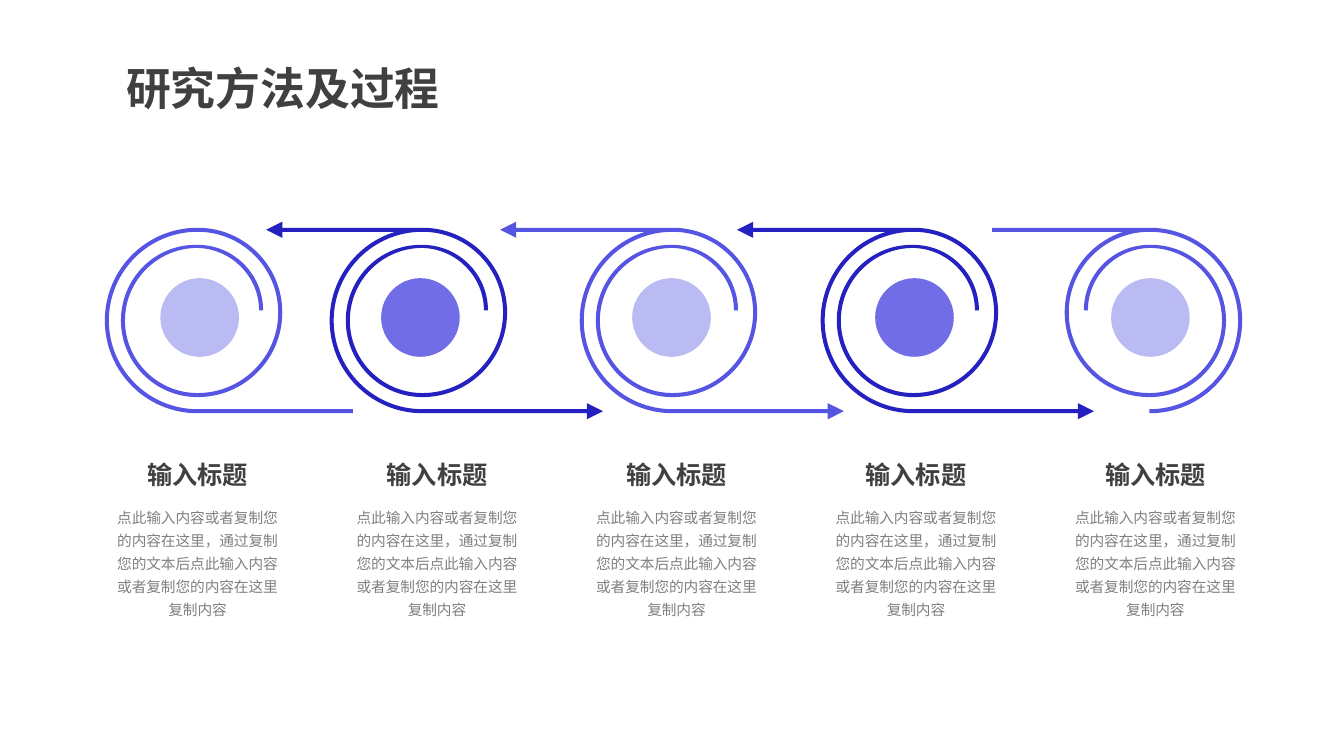
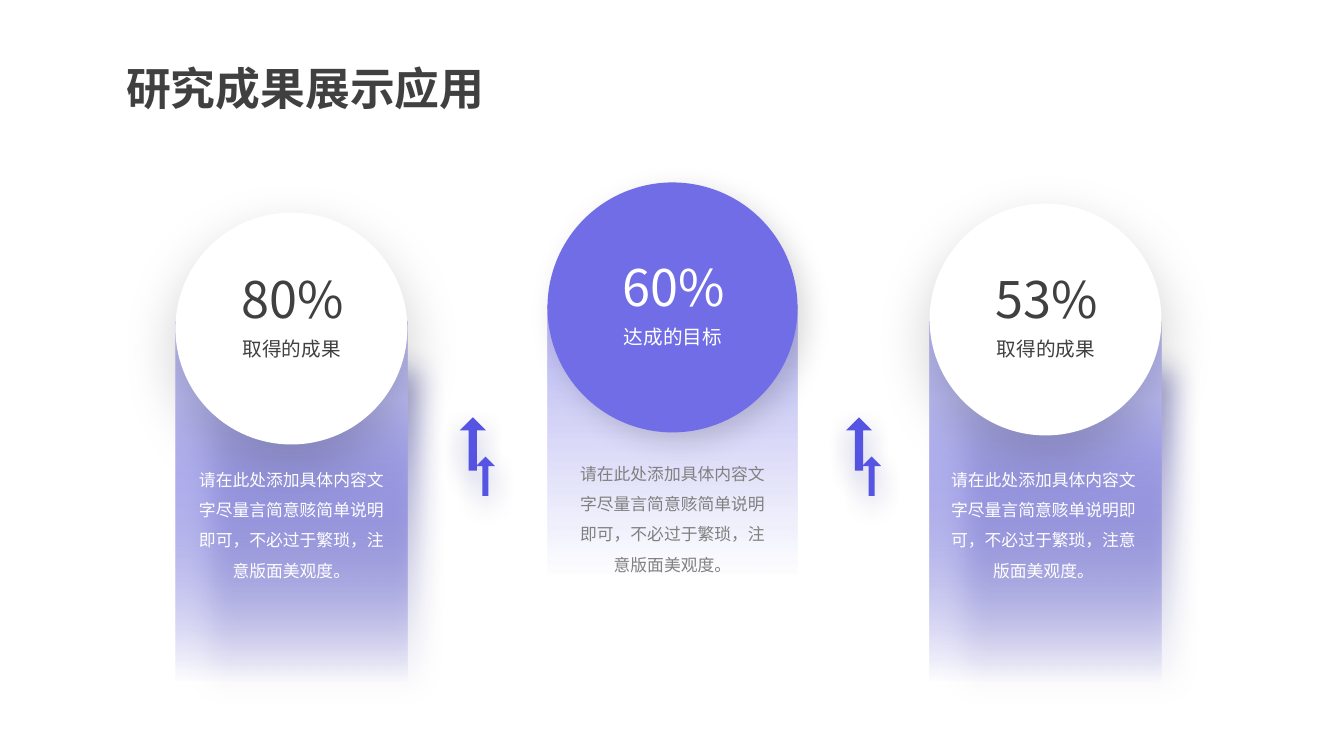
from dataclasses import dataclass
from math import acos, ceil, cos, pi, sin, tan
from typing import Optional

from lxml.etree import SubElement
from pptx import Presentation
from pptx.dml.color import RGBColor
from pptx.enum.shapes import MSO_SHAPE as Preset
from pptx.enum.text import MSO_ANCHOR as Anchor, MSO_AUTO_SIZE as AutoSize, PP_ALIGN as Align
from pptx.oxml.ns import qn
from pptx.util import Inches, Pt

FONT = "Noto Sans CJK SC"
WHITE = RGBColor(0xFF, 0xFF, 0xFF)
BLACK = RGBColor(0x00, 0x00, 0x00)
DARK_GRAY = RGBColor(0x40, 0x40, 0x40)
GRAY = RGBColor(0x80, 0x80, 0x80)
NAVY = RGBColor(0x18, 0x16, 0x85)
DEEP_BLUE = RGBColor(0x25, 0x21, 0xC1)
VIOLET = RGBColor(0x56, 0x54, 0xE2)
LAVENDER = RGBColor(0x70, 0x6D, 0xE6)
PALE = RGBColor(0xBB, 0xBB, 0xF3)

TITLE_ONLY = 5
COIL_TOP, COIL_BOTTOM = 2.28, 4.08
HALF_BAND = 0.02
HEAD_LENGTH, HALF_HEAD = 0.16, 0.08
TURNS = [(3.18, 0.9, 0, pi), (3.1, 0.82, pi, 2 * pi),
         (3.18, 0.74, 2 * pi, 3 * pi), (3.08, 0.63, 3 * pi, 3.5 * pi)]
DOT_SIZE = 0.78
STEP_LEFT, STEP_TOP, STEP_PITCH, STEP_WIDTH = 1.04, 4.51, 2.375, 1.84
STEP_TITLE = "输入标题"
STEP_TEXT = "点此输入内容或者复制您的内容在这里，通过复制您的文本后点此输入内容或者复制您的内容在这里复制内容"
CARD_TEXT = "请在此处添加具体内容文字尽量言简意赅简单说明即可，不必过于繁琐，注意版面美观度。"


@dataclass
class Coil:
    """A spiral band with a dot and up to two straight ends."""
    center: float
    color: RGBColor
    dot_center: float
    dot_color: RGBColor
    top_end: Optional[float] = None
    bottom_end: Optional[float] = None
    top_arrow: bool = True
    bottom_arrow: bool = True
    side: int = -1


@dataclass
class Card:
    """A percentage in a circle above a fading column."""
    left: float
    top: float
    width: float
    height: float
    circle_top: float
    circle_color: RGBColor
    circle_shadow: dict
    stops: list
    column_shadow: Optional[dict]
    value: str
    label: str
    value_top: float
    value_color: RGBColor
    text: str
    text_left: float
    text_top: float
    text_color: RGBColor


COILS = [
    Coil(1.96, VIOLET, 1.98, PALE, bottom_end=3.5, bottom_arrow=False),
    Coil(4.19, DEEP_BLUE, 4.17, LAVENDER, 2.64, 5.98),
    Coil(6.67, VIOLET, 6.66, PALE, 4.96, 8.37),
    Coil(9.06, DEEP_BLUE, 9.07, LAVENDER, 7.31, 10.85),
    Coil(11.4, VIOLET, 11.41, PALE, top_end=9.84, top_arrow=False, side=1),
]

COLUMN_SHADOW = dict(color=NAVY, alpha=40, blur=20, distance=9, angle=90, scale=90)
WHITE_CIRCLE_SHADOW = dict(color=BLACK, alpha=20, blur=40, distance=15, angle=90)
VIOLET_CIRCLE_SHADOW = dict(color=BLACK, alpha=15, blur=20, distance=8, angle=45)
SIDE_STOPS = [(0, DEEP_BLUE, 0), (0.78, PALE, 100)]
MIDDLE_STOPS = [(0.28, VIOLET, 0), (1, VIOLET, 44)]
CARDS = [
    Card(1.74, 3.19, 2.3, 3.57, 2.11, WHITE, WHITE_CIRCLE_SHADOW, SIDE_STOPS, COLUMN_SHADOW,
         "80%", "取得的成果", 2.66, DARK_GRAY, CARD_TEXT, 1.95, 4.56, WHITE),
    Card(5.43, 3.02, 2.48, 3.74, 1.81, LAVENDER, VIOLET_CIRCLE_SHADOW, MIDDLE_STOPS, None,
         "60%", "达成的目标", 2.54, WHITE, CARD_TEXT, 5.73, 4.5, GRAY),
    Card(9.22, 3.19, 2.3, 3.57, 2.02, WHITE, WHITE_CIRCLE_SHADOW, SIDE_STOPS, COLUMN_SHADOW,
         "53%", "取得的成果", 2.66, DARK_GRAY, CARD_TEXT.replace("简单说明", "单说明"),
         9.41, 4.56, WHITE),
]


def write_text(shape, text, size, color, bold=False, align=Align.CENTER, spacing=1.0, inset=None):
    """Fill a shape's text frame with one formatted paragraph."""
    frame = shape.text_frame
    frame.word_wrap = True
    frame.auto_size = AutoSize.SHAPE_TO_FIT_TEXT
    frame.vertical_anchor = Anchor.TOP
    if inset is not None:
        frame.margin_left = frame.margin_right = Inches(inset)
        frame.margin_top = frame.margin_bottom = Inches(inset)
    paragraph = frame.paragraphs[0]
    paragraph.alignment = align
    paragraph.line_spacing = spacing
    run = paragraph.add_run()
    run.text = text
    run.font.size = Pt(size)
    run.font.bold = bold
    run.font.color.rgb = color
    run.font.name = FONT
    SubElement(run.font._element, qn("a:ea"), typeface=FONT)


def add_text(slide, box, text, size, color, **format_options):
    """Add a text box at left, top, width, height in inches."""
    write_text(slide.shapes.add_textbox(*map(Inches, box)), text, size, color, **format_options)


def add_alpha(color_element, percent):
    """Set the opacity of a colour element."""
    SubElement(color_element, qn("a:alpha"), val=str(percent * 1000))


def add_shadow(shape, color, alpha, blur, distance, angle, scale=100):
    """Give a shape a blurred outer shadow."""
    effects = shape._element.spPr.find(qn("a:effectLst"))
    shadow = SubElement(
        effects, qn("a:outerShdw"), blurRad=str(Pt(blur)), dist=str(Pt(distance)),
        dir=str(angle * 60000), sx=str(scale * 1000), sy=str(scale * 1000),
        algn="t", rotWithShape="0")
    add_alpha(SubElement(shadow, qn("a:srgbClr"), val=str(color)), alpha)


def paint(shape, color):
    """Give a shape a plain fill without line or shadow."""
    shape.shadow.inherit = False
    shape.line.fill.background()
    shape.fill.solid()
    shape.fill.fore_color.rgb = color


def add_preset(slide, preset, box, color, shadow=None):
    """Add a plain preset shape."""
    shape = slide.shapes.add_shape(preset, *map(Inches, box))
    paint(shape, color)
    if shadow:
        add_shadow(shape, **shadow)
    return shape


def add_column(slide, box, stops, shadow):
    """Add an upside-down column that fades out at its foot."""
    column = add_preset(slide, Preset.ROUND_2_SAME_RECTANGLE, box, stops[0][1])
    column.adjustments[0] = 0
    column.rotation = 180
    column.fill.gradient()
    column.fill.gradient_angle = 270
    for gradient_stop, (position, color, _) in zip(column.fill.gradient_stops, stops):
        gradient_stop.position = position
        gradient_stop.color.rgb = color
    colors = column._element.spPr.findall(".//" + qn("a:srgbClr"))
    for element, (_, _, alpha) in zip(colors, stops):
        add_alpha(element, alpha)
    if shadow:
        add_shadow(column, **shadow)


def arc(coil, middle, radius, first, last):
    """List Bezier segments of an arc, with angles counted from the bottom."""
    count = ceil(abs(last - first) / (pi / 2) - 0.01)
    step = (last - first) / count
    reach = radius * 4 / 3 * tan(step / 4)

    def point(angle, along):
        return (coil.center + coil.side * (radius * sin(angle) + along * cos(angle)),
                middle + radius * cos(angle) - along * sin(angle))

    angles = [first + step * index for index in range(count)]
    return [[point(angle, reach), point(angle + step, -reach), point(angle + step, 0)]
            for angle in angles]


def straight_end(end, level, direction, edge, arrow):
    """List line segments round the end of a bar, starting at one edge."""
    if not arrow:
        return [[(end, level + edge * HALF_BAND)], [(end, level - edge * HALF_BAND)]]
    neck = end - direction * HEAD_LENGTH
    offsets = [(neck, HALF_BAND), (neck, HALF_HEAD), (end, 0), (neck, -HALF_HEAD), (neck, -HALF_BAND)]
    return [[(x, level + edge * offset)] for x, offset in offsets]


def coil_outline(coil):
    """List the segments round a whole coil."""
    outline = [[(coil.center, COIL_BOTTOM + HALF_BAND)]]
    if coil.bottom_end is not None:
        outline += straight_end(coil.bottom_end, COIL_BOTTOM, 1, 1, coil.bottom_arrow)
    outline.append([(coil.center, COIL_BOTTOM - HALF_BAND)])
    for middle, radius, first, last in TURNS:
        outline += arc(coil, middle, radius - HALF_BAND, first, last)
    middle, radius, _, _ = TURNS[-1]
    outline.append([(coil.center - coil.side * -1 * -(radius + HALF_BAND), middle)])
    joined = None if coil.top_end is None else (0 if coil.side < 0 else 1)
    for index, (middle, radius, first, last) in reversed(list(enumerate(TURNS))):
        outer = radius + HALF_BAND
        if index == joined:
            gap = acos((radius - HALF_BAND) / outer)
            first, last = (first, last - gap) if index == 0 else (first + gap, last)
        if index == 0:
            if joined is not None:
                outline += straight_end(coil.top_end, COIL_TOP, -1, coil.side, coil.top_arrow)
            outline.append([(coil.center + coil.side * outer * sin(last), middle + outer * cos(last))])
        outline += arc(coil, middle, outer, last, first)
    return outline


def add_curved_shape(slide, outline, color):
    """Build a filled freeform from line and Bezier segments."""
    (start,), *segments = outline
    points = [(Inches(x), Inches(y)) for segment in segments for x, y in segment]
    builder = slide.shapes.build_freeform(*map(Inches, start))
    builder.add_line_segments(points, close=True)
    shape = builder.convert_to_shape()
    paint(shape, color)
    outline_element = shape._element.spPr.find(".//" + qn("a:path"))
    lines = iter(outline_element.findall(qn("a:lnTo")))
    for segment in segments:
        element = next(lines)
        if len(segment) == 3:
            element.tag = qn("a:cubicBezTo")
            for extra in (next(lines), next(lines)):
                element.append(extra[0])
                outline_element.remove(extra)


def add_step(slide, left, top):
    """Write a heading with a paragraph below it."""
    add_text(slide, (left, top + 0.44, STEP_WIDTH, 1.23), STEP_TEXT, 10.5, GRAY, spacing=1.3)
    add_text(slide, (left, top, STEP_WIDTH, 0.4), STEP_TITLE, 18, DARK_GRAY, bold=True)


def add_card(slide, card):
    """Draw a fading column, its circle and its texts."""
    add_column(slide, (card.left, card.top, card.width, card.height), card.stops, card.column_shadow)
    add_preset(slide, Preset.OVAL, (card.left, card.circle_top, card.width, card.width),
               card.circle_color, shadow=card.circle_shadow)
    middle = card.left + card.width / 2
    add_text(slide, (middle - 1, card.value_top, 2.03, 0.61), card.value, 36,
             card.value_color, inset=0)
    add_text(slide, (middle - 0.69, card.value_top + 0.68, 1.39, 0.24), card.label, 14,
             card.value_color, inset=0)
    add_text(slide, (card.text_left, card.text_top, 1.88, 1.21), card.text, 12,
             card.text_color, spacing=1.5, inset=0)


def add_rising_arrows(slide, left, top):
    """Draw a large and a small upward arrow side by side."""
    for x, y, width, height in ((0, 0, 0.26, 0.53), (0.16, 0.39, 0.19, 0.39)):
        arrow = add_preset(slide, Preset.UP_ARROW, (left + x, top + y, width, height),
                           VIOLET, shadow=COLUMN_SHADOW)
        arrow.adjustments[0] = 0.315


def add_titled_slide(presentation, text):
    """Add a slide with its formatted title."""
    slide = presentation.slides.add_slide(presentation.slide_layouts[TITLE_ONLY])
    title = slide.shapes.title
    title.left, title.top, title.width, title.height = map(Inches, (1.15, 0.39, 4.72, 0.75))
    write_text(title, text, 32, DARK_GRAY, bold=True, align=Align.LEFT, spacing=1.3)
    return slide


def build_process_slide(presentation):
    """Build the slide of five linked coils."""
    slide = add_titled_slide(presentation, "研究方法及过程")
    for index, coil in enumerate(COILS):
        add_curved_shape(slide, coil_outline(coil), coil.color)
        dot_box = (coil.dot_center - DOT_SIZE / 2, 2.76, DOT_SIZE, DOT_SIZE)
        add_preset(slide, Preset.OVAL, dot_box, coil.dot_color)
        add_step(slide, STEP_LEFT + index * STEP_PITCH, STEP_TOP)


def build_results_slide(presentation):
    """Build the slide of three result cards."""
    slide = add_titled_slide(presentation, "研究成果展示应用")
    for card in CARDS:
        add_card(slide, card)
    for left in (4.56, 8.39):
        add_rising_arrows(slide, left, 4.14)


def main():
    """Build and save the presentation."""
    presentation = Presentation()
    presentation.slide_width = Inches(13.33)
    presentation.slide_height = Inches(7.5)
    build_process_slide(presentation)
    build_results_slide(presentation)
    presentation.save("out.pptx")


if __name__ == "__main__":
    main()
